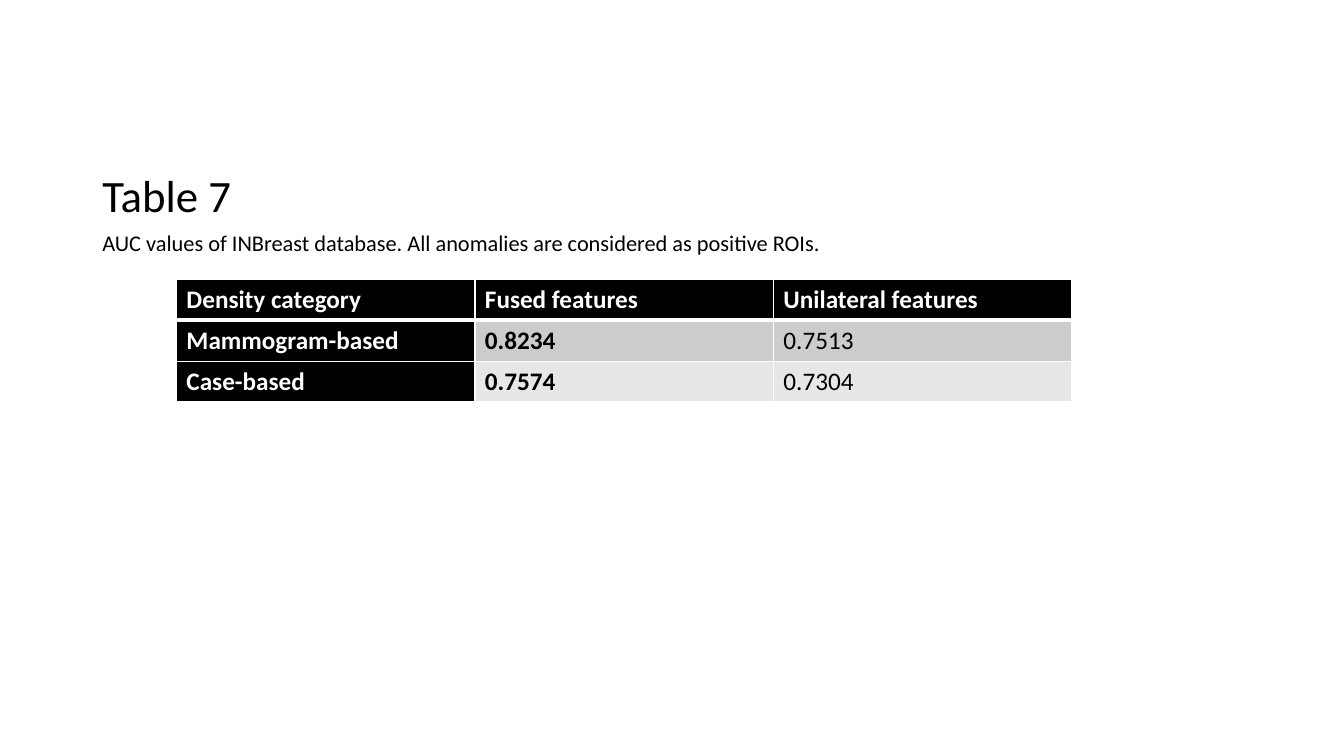
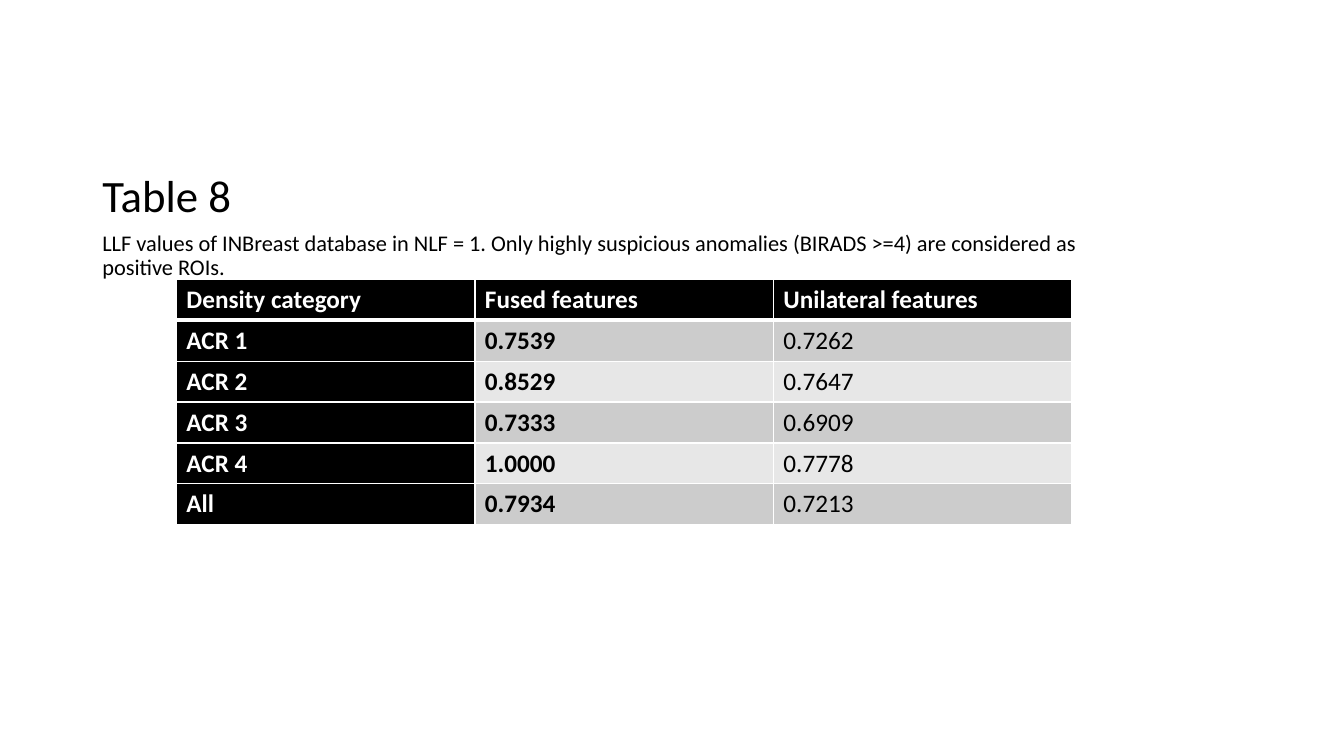
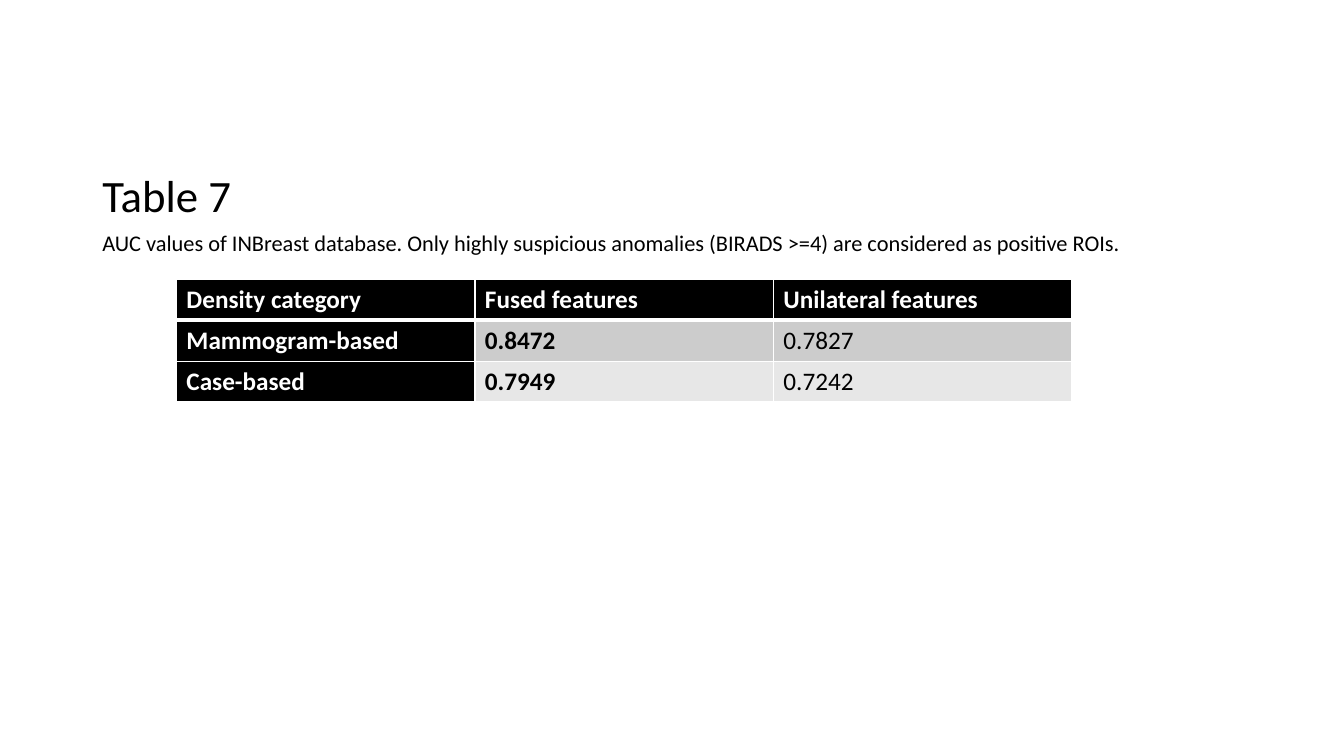
from dataclasses import dataclass

from lxml.etree import SubElement
from pptx import Presentation
from pptx.dml.color import RGBColor
from pptx.enum.text import MSO_ANCHOR
from pptx.oxml.ns import qn
from pptx.slide import Slide
from pptx.table import _Cell as Cell
from pptx.text.text import _Paragraph as Paragraph
from pptx.util import Emu, Pt

EMU_PER_PX = 9525
FONT = "Calibri"
COLORS = {
    "ink": "000000",
    "paper": "FFFFFF",
    "band_dark": "CCCCCC",
    "band_light": "E7E7E7",
}
HEADINGS = ("Density category", "Fused features", "Unilateral features")

LEFT = 88
TITLE_TOP, TITLE_WIDTH, TITLE_HEIGHT = 48, 413, 168
CAPTION_TOP, CAPTION_HEIGHT = 216, 400
TABLE_LEFT, TABLE_TOP, TABLE_WIDTH, ROW_HEIGHT = 168, 266, 853, 39
GRID_PT, HEADER_RULE_PT = 1, 3


@dataclass(frozen=True)
class ResultSlide:
    title: str
    caption: str
    results: tuple[tuple[str, str, str], ...]
    caption_width: int = 1028


RESULT_SLIDES = (
    ResultSlide(
        "Table 7",
        "AUC values of INBreast database. All anomalies are considered as positive ROIs.",
        (("Mammogram-based", "0.8234", "0.7513"), ("Case-based", "0.7574", "0.7304")),
    ),
    ResultSlide(
        "Table 8",
        "LLF values of INBreast database in NLF = 1. Only highly suspicious anomalies "
        "(BIRADS >=4) are considered as positive ROIs.",
        (
            ("ACR 1", "0.7539", "0.7262"),
            ("ACR 2", "0.8529", "0.7647"),
            ("ACR 3", "0.7333", "0.6909"),
            ("ACR 4", "1.0000", "0.7778"),
            ("All", "0.7934", "0.7213"),
        ),
        caption_width=989,
    ),
    ResultSlide(
        "Table 7",
        "AUC values of INBreast database. Only highly suspicious anomalies "
        "(BIRADS >=4) are considered as positive ROIs.",
        (("Mammogram-based", "0.8472", "0.7827"), ("Case-based", "0.7949", "0.7242")),
    ),
)


def px(length: int) -> Emu:
    return Emu(length * EMU_PER_PX)


def rgb(name: str) -> RGBColor:
    return RGBColor.from_string(COLORS[name])


def add_run(paragraph: Paragraph, text: str, size: int,
            color: str = "ink", bold: bool = False) -> None:
    run = paragraph.add_run()
    run.text = text
    run.font.name = FONT
    run.font.size = Pt(size)
    run.font.bold = bold
    run.font.color.rgb = rgb(color)


def add_text(slide: Slide, text: str, box: tuple[int, int, int, int], size: int,
             anchor: MSO_ANCHOR = MSO_ANCHOR.TOP, space_before: int = 0) -> None:
    frame = slide.shapes.add_textbox(*map(px, box)).text_frame
    frame.word_wrap = True
    frame.vertical_anchor = anchor
    paragraph = frame.paragraphs[0]
    paragraph.line_spacing = 0.9
    paragraph.space_before = Pt(space_before)
    add_run(paragraph, text, size)


def set_borders(cell: Cell, top: int, bottom: int) -> None:
    """Rule the cell in white; widths are in points."""
    properties = cell._tc.get_or_add_tcPr()
    widths = {"a:lnL": GRID_PT, "a:lnR": GRID_PT, "a:lnT": top, "a:lnB": bottom}
    for tag, width in widths.items():
        line = SubElement(properties, qn(tag), w=str(Pt(width)))
        fill = SubElement(line, qn("a:solidFill"))
        SubElement(fill, qn("a:srgbClr"), val=COLORS["paper"])


def fill_cell(cell: Cell, text: str, row: int, column: int) -> None:
    is_heading = row == 0 or column == 0
    set_borders(
        cell,
        top=HEADER_RULE_PT if row == 1 else GRID_PT,
        bottom=HEADER_RULE_PT if row == 0 else GRID_PT,
    )
    band = "band_dark" if row % 2 else "band_light"
    cell.fill.solid()
    cell.fill.fore_color.rgb = rgb("ink" if is_heading else band)
    add_run(cell.text_frame.paragraphs[0], text, 18,
            color="paper" if is_heading else "ink",
            bold=is_heading or column == 1)


def add_results(slide: Slide, results: tuple[tuple[str, str, str], ...]) -> None:
    rows = (HEADINGS, *results)
    table = slide.shapes.add_table(
        len(rows), len(HEADINGS), px(TABLE_LEFT), px(TABLE_TOP),
        px(TABLE_WIDTH), px(ROW_HEIGHT * len(rows)),
    ).table
    for row, texts in enumerate(rows):
        for column, text in enumerate(texts):
            fill_cell(table.cell(row, column), text, row, column)


def main() -> None:
    deck = Presentation()
    deck.slide_width, deck.slide_height = px(1280), px(720)
    blank = deck.slide_layouts[6]
    for content in RESULT_SLIDES:
        slide = deck.slides.add_slide(blank)
        add_text(slide, content.title, (LEFT, TITLE_TOP, TITLE_WIDTH, TITLE_HEIGHT),
                 32, anchor=MSO_ANCHOR.BOTTOM)
        add_text(slide, content.caption,
                 (LEFT, CAPTION_TOP, content.caption_width, CAPTION_HEIGHT),
                 16, space_before=10)
        add_results(slide, content.results)
    deck.save("out.pptx")


if __name__ == "__main__":
    main()
